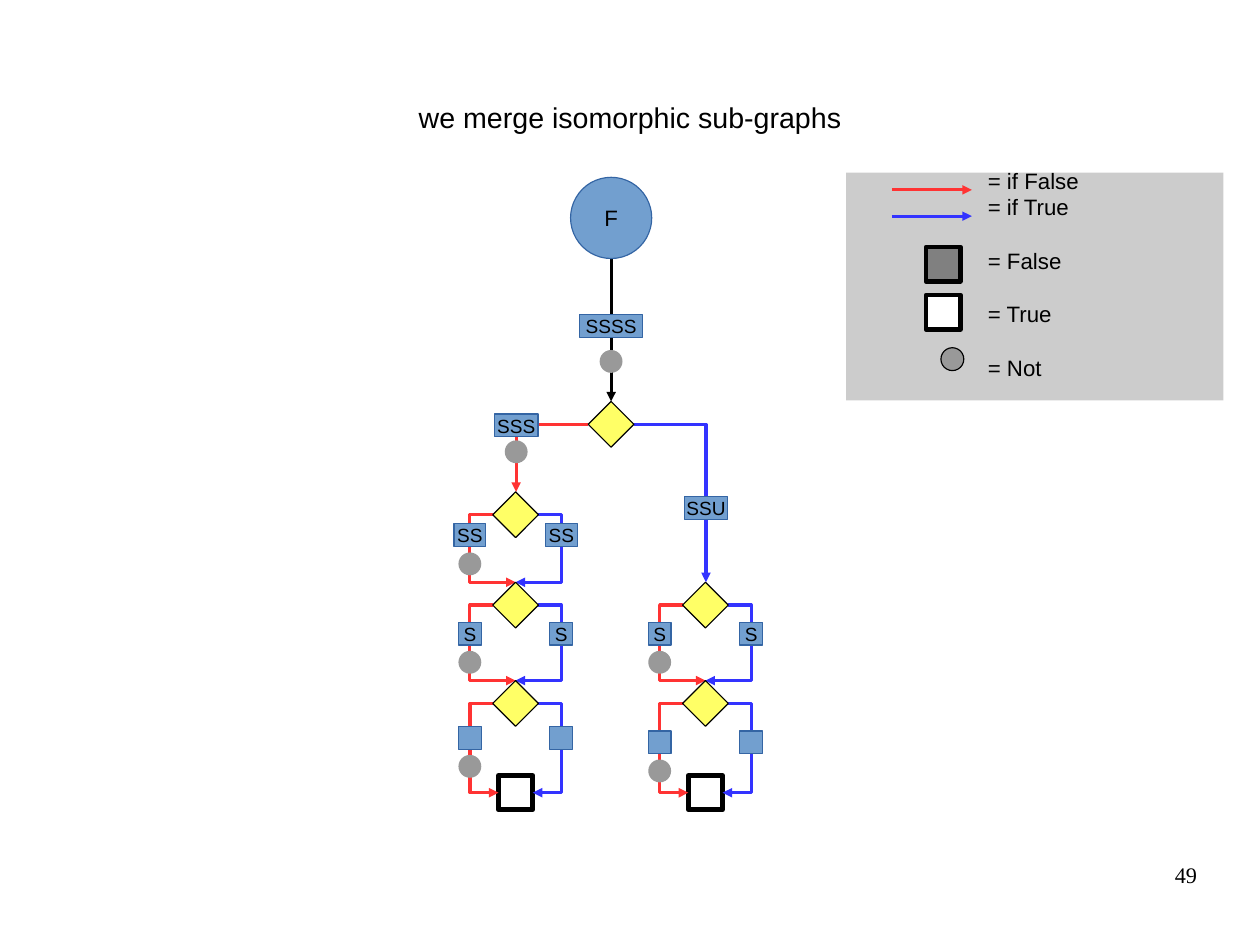
from dataclasses import dataclass

from lxml import etree
from pptx import Presentation
from pptx import util as u
from pptx.dml.color import RGBColor
from pptx.enum import shapes, text
from pptx.oxml import ns


@dataclass(frozen=True)
class Theme:
    ink: str = "000000"
    paper: str = "FFFFFF"
    if_false: str = "FF3333"
    if_true: str = "3333FF"
    tag: str = "729FCF"
    tag_edge: str = "3465A4"
    choice: str = "FFFF66"
    negation: str = "999999"
    false_leaf: str = "808080"
    panel: str = "CCCCCC"
    sans: str = "Arial"
    serif: str = "Times New Roman"
    title_size: int = 18
    body_size: int = 14
    tag_size: int = 12
    hairline: float = 0
    leaf_edge: float = 3


@dataclass(frozen=True)
class Box:
    left: float
    top: float
    width: float
    height: float

    def emu(self):
        return [u.Inches(v) for v in (self.left, self.top, self.width, self.height)]


THEME = Theme()
KIND = shapes.MSO_SHAPE
ALIGN = text.PP_ALIGN
ANCHOR = text.MSO_ANCHOR
CHOICE = 0.4
DOT = 0.2
LEAF = 0.3
BRANCH = 0.4
TAG_HEIGHT = 0.2
TAG_WIDTHS = {"": 0.2, "S": 0.2, "SS": 0.28, "SSS": 0.38, "SSU": 0.38, "SSSS": 0.55}


def apply(target, values):
    for name, value in values.items():
        setattr(target, name, value)


def write(shape, lines, size, font=THEME.sans, align=ALIGN.CENTER,
          anchor=ANCHOR.MIDDLE, wrap=False):
    frame = shape.text_frame
    apply(frame, dict(margin_left=0, margin_right=0, margin_top=0, margin_bottom=0,
                      vertical_anchor=anchor, word_wrap=wrap, text="\n".join(lines)))
    for paragraph in frame.paragraphs:
        paragraph.alignment = align
        apply(paragraph.font, dict(name=font, size=u.Pt(size)))
        paragraph.font.color.rgb = RGBColor.from_string(THEME.ink)
    return frame


def add_node(slide, kind, box, fill, edge=None, weight=THEME.hairline):
    node = slide.shapes.add_shape(kind, *box.emu())
    node.shadow.inherit = False
    node.fill.solid()
    node.fill.fore_color.rgb = RGBColor.from_string(fill)
    if edge is None:
        node.line.fill.background()
    else:
        node.line.color.rgb = RGBColor.from_string(edge)
        node.line.width = u.Pt(weight)
    return node


def add_arrow(slide, start, end, color, via_x=None, corner=False):
    bent = corner or via_x is not None
    kind = shapes.MSO_CONNECTOR.ELBOW if bent else shapes.MSO_CONNECTOR.STRAIGHT
    arrow = slide.shapes.add_connector(kind, *(u.Inches(v) for v in (*start, *end)))
    arrow.line.color.rgb = RGBColor.from_string(color)
    arrow.line.width = u.Pt(THEME.hairline)
    properties = arrow._element.spPr
    etree.SubElement(properties.find(ns.qn("a:ln")), ns.qn("a:tailEnd"), type="triangle")
    etree.SubElement(properties, ns.qn("a:effectLst"))
    geometry = properties.find(ns.qn("a:prstGeom"))
    if corner:
        geometry.set("prst", "bentConnector2")
    elif bent:
        bend = round((via_x - start[0]) / (end[0] - start[0]) * 100000)
        guides = geometry.find(ns.qn("a:avLst"))
        etree.SubElement(guides, ns.qn("a:gd"), name="adj1", fmla=f"val {bend}")


def add_choice(slide, x, top):
    box = Box(x - CHOICE / 2, top, CHOICE, CHOICE)
    add_node(slide, KIND.DIAMOND, box, THEME.choice, THEME.ink)


def add_dot(slide, x, top, edge=None):
    add_node(slide, KIND.OVAL, Box(x - DOT / 2, top, DOT, DOT), THEME.negation, edge)


def add_leaf(slide, x, top, fill):
    add_node(slide, KIND.RECTANGLE, Box(x - LEAF / 2, top, LEAF, LEAF),
             fill, THEME.ink, THEME.leaf_edge)


def add_tag(slide, x, top, label):
    width = TAG_WIDTHS[label]
    tag = add_node(slide, KIND.RECTANGLE, Box(x - width / 2, top, width, TAG_HEIGHT),
                   THEME.tag, THEME.tag_edge)
    if label:
        write(tag, [label], THEME.tag_size)


def draw_title(slide, box):
    write(slide.shapes.add_textbox(*box.emu()), ["we merge isomorphic sub-graphs"],
          THEME.title_size, wrap=True)


def draw_root(slide, box):
    x = box.left + box.width / 2
    choice_top = box.top + 1.96
    choice_middle = choice_top + CHOICE / 2
    false_x, true_x = x - 0.83, x + 0.83
    add_arrow(slide, (x, box.top + box.height), (x, choice_top), THEME.ink)
    add_arrow(slide, (x - CHOICE / 2, choice_middle), (false_x, box.top + 2.75),
              THEME.if_false, corner=True)
    add_arrow(slide, (x + CHOICE / 2, choice_middle), (true_x, box.top + 3.54),
              THEME.if_true, corner=True)
    root = add_node(slide, KIND.OVAL, box, THEME.tag, THEME.tag_edge)
    write(root, ["F"], THEME.body_size)
    add_choice(slide, x, choice_top)
    for tag_x, offset, label in ((x, 1.2, "SSSS"), (false_x, 2.07, "SSS"),
                                 (true_x, 2.79, "SSU")):
        add_tag(slide, tag_x, box.top + offset, label)
    for dot_x, offset in ((x, 1.51), (false_x, 2.3)):
        add_dot(slide, dot_x, box.top + offset)


def draw_level(slide, box, label, tag_offset, ends_in_leaf):
    x = box.left + box.width / 2
    bottom = box.top + box.height
    landing = LEAF / 2 if ends_in_leaf else 0
    if ends_in_leaf:
        add_leaf(slide, x, bottom - LEAF / 2, THEME.paper)
    for side, color in ((-1, THEME.if_false), (1, THEME.if_true)):
        add_arrow(slide, (x + side * CHOICE / 2, box.top + CHOICE / 2),
                  (x + side * landing, bottom), color, via_x=x + side * BRANCH)
        add_tag(slide, x + side * BRANCH, box.top + tag_offset, label)
    add_choice(slide, x, box.top)
    add_dot(slide, box.left, box.top + tag_offset + 0.25)


def draw_legend(slide, box):
    add_node(slide, KIND.RECTANGLE, box, THEME.panel)
    for offset, color in ((0.15, THEME.if_false), (0.38, THEME.if_true)):
        y = box.top + offset
        add_arrow(slide, (box.left + 0.4, y), (box.left + 1.1, y), color)
    for offset, fill in ((0.65, THEME.false_leaf), (1.07, THEME.paper)):
        add_leaf(slide, box.left + 0.85, box.top + offset, fill)
    add_dot(slide, box.left + 0.93, box.top + 1.53, THEME.ink)
    meanings = Box(box.left + 1.24, box.top - 0.05, 1.2, 2.1)
    frame = write(slide.shapes.add_textbox(*meanings.emu()),
                  ["= if False", "= if True", "= False", "= True", "= Not"],
                  THEME.body_size, align=ALIGN.LEFT, anchor=ANCHOR.TOP)
    for index, paragraph in enumerate(frame.paragraphs):
        paragraph.line_spacing = u.Pt(16.8)
        if index > 1:
            paragraph.space_before = u.Pt(16.8)


def draw_page_number(slide, box):
    write(slide.shapes.add_textbox(*box.emu()), ["49"], THEME.body_size, THEME.serif,
          ALIGN.RIGHT, ANCHOR.TOP, wrap=True)


def main():
    deck = Presentation()
    apply(deck, dict(slide_width=u.Inches(11.02), slide_height=u.Inches(8.27)))
    slide = deck.slides.add_slide(deck.slide_layouts[6])
    draw_title(slide, Box(0.55, 0.33, 9.92, 1.38))
    draw_root(slide, Box(4.99, 1.55, 0.71, 0.71))
    for x, top, bottom, label, tag_offset in (
        (4.51, 4.3, 5.09, "SS", 0.28),
        (4.51, 5.09, 5.95, "S", 0.35),
        (4.51, 5.95, 6.93, "", 0.4),
        (6.17, 5.09, 5.95, "S", 0.35),
        (6.17, 5.95, 6.93, "", 0.44),
    ):
        draw_level(slide, Box(x - BRANCH, top, 2 * BRANCH, bottom - top),
                   label, tag_offset, ends_in_leaf=not label)
    draw_legend(slide, Box(7.4, 1.51, 3.3, 1.99))
    draw_page_number(slide, Box(7.9, 7.53, 2.57, 0.57))
    deck.save("out.pptx")


if __name__ == "__main__":
    main()
